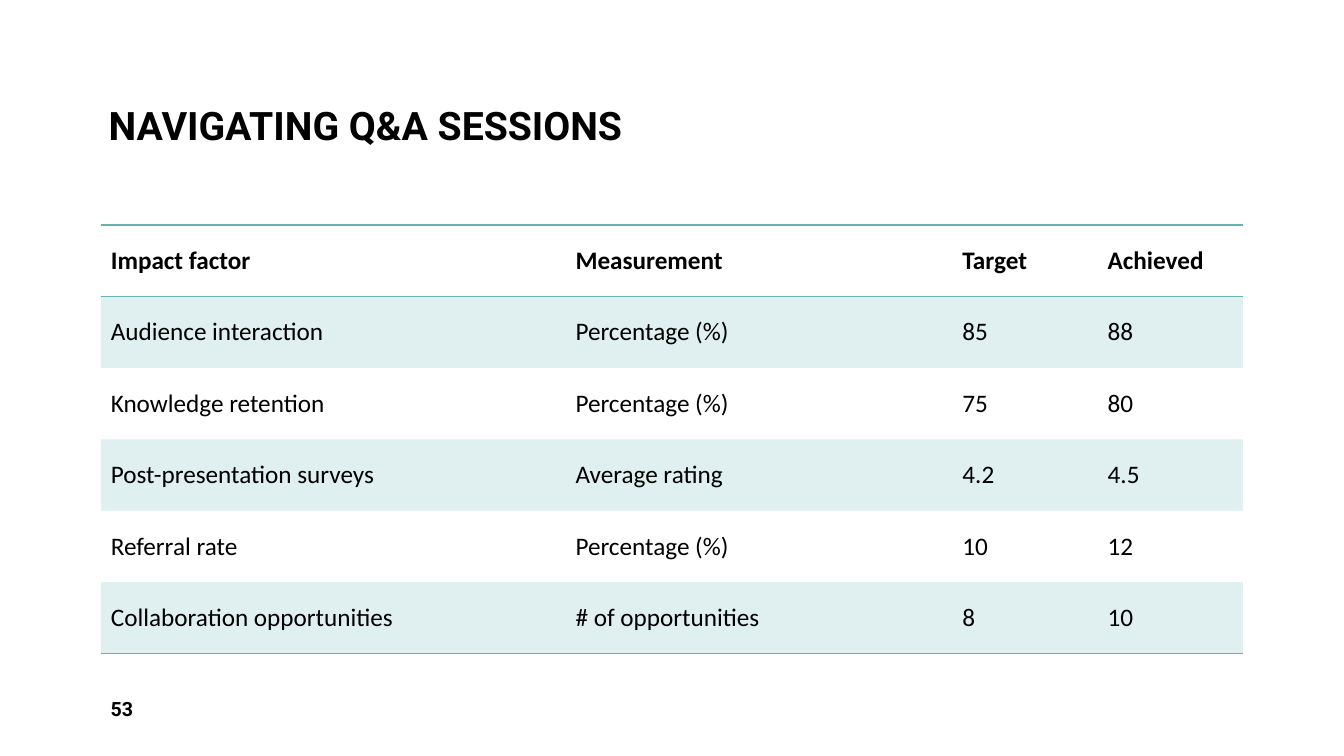
from dataclasses import dataclass

from lxml import etree
from pptx import Presentation
from pptx.dml.color import RGBColor
from pptx.enum.text import MSO_ANCHOR
from pptx.oxml.ns import qn
from pptx.util import Cm, Pt

MIDDLE = MSO_ANCHOR.MIDDLE
BOTTOM = MSO_ANCHOR.BOTTOM
BLACK = "000000"
TEAL = "66B2B0"
HEAD = "Roboto"
BODY = "Calibri"

# Table content and sizes in centimetres
WIDTHS = [11.71, 9.75, 3.66, 3.66]
HEIGHT = 1.8
ROWS = [
    ["Impact factor", "Measurement", "Target", "Achieved"],
    ["Audience interaction", "Percentage (%)", "85", "88"],
    ["Knowledge retention", "Percentage (%)", "75", "80"],
    ["Post-presentation surveys", "Average rating", "4.2", "4.5"],
    ["Referral rate", "Percentage (%)", "10", "12"],
    ["Collaboration opportunities", "# of opportunities", "8", "10"],
]
RULES = {0, 1, len(ROWS)}  # row edges that carry a line


@dataclass
class Label:
    text: str
    left: float
    top: float
    width: float
    height: float
    size: float
    anchor: MSO_ANCHOR
    lead: float = 1.0


LABELS = [
    Label("NAVIGATING Q&A SESSIONS", 2.49, 0.2, 28.91, 3.68, 28, BOTTOM, 0.9),
    Label("53", 2.54, 17.35, 7.42, 1.02, 14, MIDDLE),
]


def color(code: str) -> RGBColor:
    return RGBColor.from_string(code)


def style(para, face: str, size: float, bold: bool) -> None:
    for run in para.runs:
        run.font.name = face
        run.font.size = Pt(size)
        run.font.bold = bold
        run.font.color.rgb = color(BLACK)


def add_label(slide, label: Label) -> None:
    box = slide.shapes.add_textbox(
        Cm(label.left), Cm(label.top), Cm(label.width), Cm(label.height))
    frame = box.text_frame
    frame.word_wrap = True
    frame.vertical_anchor = label.anchor
    frame.text = label.text
    para = frame.paragraphs[0]
    para.line_spacing = label.lead
    style(para, HEAD, label.size, True)


def add_edge(props, side: str, shown: bool) -> None:
    edge = etree.SubElement(props, qn(f"a:{side}"), w=str(Pt(1)))
    if shown:
        fill = etree.SubElement(edge, qn("a:solidFill"))
        etree.SubElement(fill, qn("a:srgbClr"), val=TEAL)
    else:
        etree.SubElement(edge, qn("a:noFill"))


def fill_cell(cell, text: str, row: int) -> None:
    cell.text = text
    cell.vertical_anchor = MIDDLE
    style(cell.text_frame.paragraphs[0], BODY, 18, row == 0)

    # Borders come before the fill
    props = cell._tc.get_or_add_tcPr()
    add_edge(props, "lnL", False)
    add_edge(props, "lnR", False)
    add_edge(props, "lnT", row in RULES)
    add_edge(props, "lnB", row + 1 in RULES)

    # Odd rows are tinted
    if row % 2:
        cell.fill.solid()
        cell.fill.fore_color.rgb = color(TEAL)
        tint = props.find(qn("a:solidFill")).find(qn("a:srgbClr"))
        etree.SubElement(tint, qn("a:alpha"), val="20000")
    else:
        cell.fill.background()


def add_grid(slide) -> None:
    grid = slide.shapes.add_table(
        len(ROWS), len(WIDTHS), Cm(2.54), Cm(5.67),
        Cm(sum(WIDTHS)), Cm(HEIGHT * len(ROWS))).table
    grid.horz_banding = False
    for col, width in zip(grid.columns, WIDTHS):
        col.width = Cm(width)
    for row, texts in enumerate(ROWS):
        grid.rows[row].height = Cm(HEIGHT)
        for col, text in enumerate(texts):
            fill_cell(grid.cell(row, col), text, row)


def main() -> None:
    deck = Presentation()
    deck.slide_width = Cm(33.87)
    deck.slide_height = Cm(19.05)
    slide = deck.slides.add_slide(deck.slide_layouts[6])
    for label in LABELS:
        add_label(slide, label)
    add_grid(slide)
    deck.save("out.pptx")


if __name__ == "__main__":
    main()
